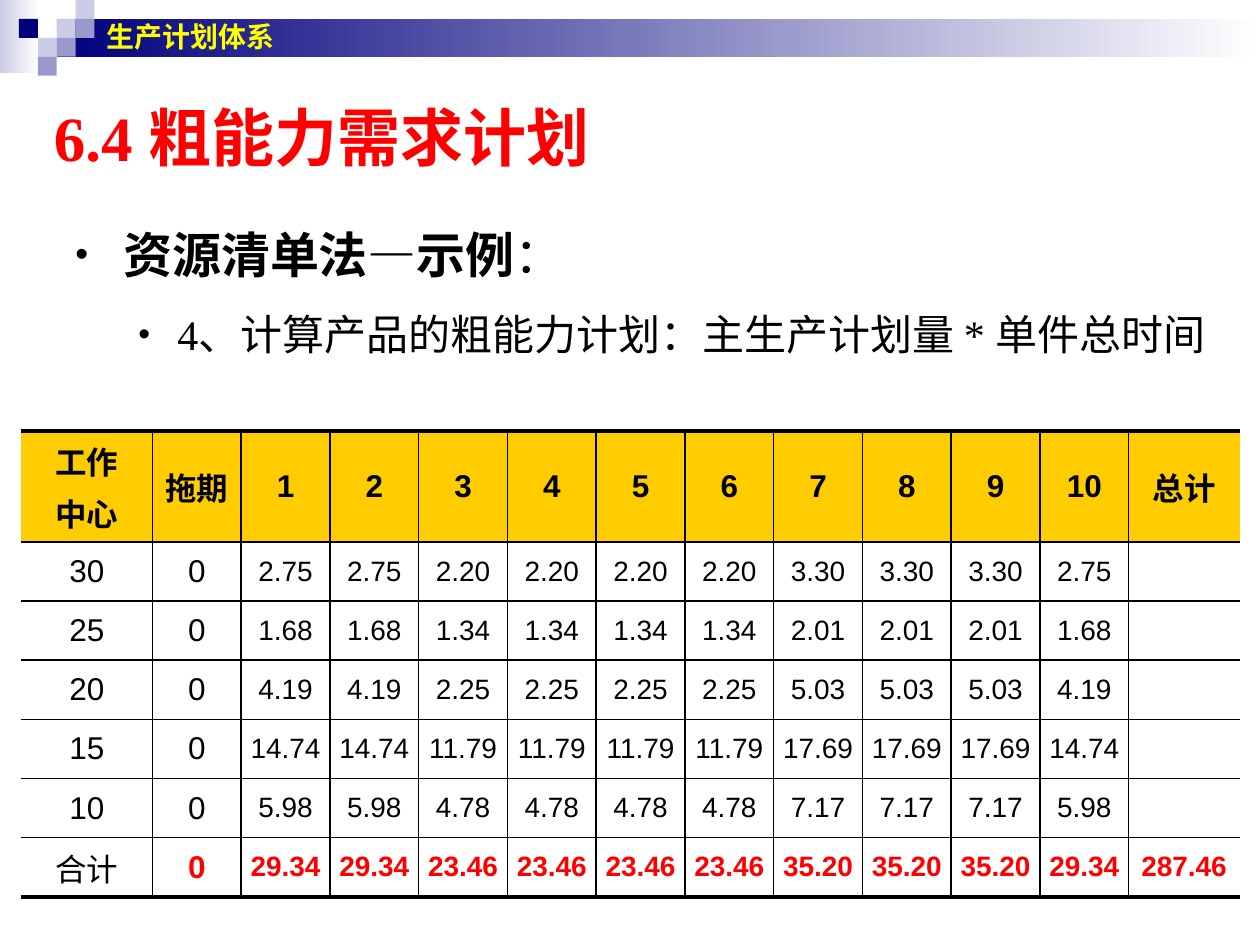
import pptx
import pptx.util
import pptx.dml.color
import pptx.enum.shapes
import pptx.enum.text
import pptx.oxml
import pptx.oxml.ns

Inches, Pt = pptx.util.Inches, pptx.util.Pt
ALIGN, ANCHOR = pptx.enum.text.PP_ALIGN, pptx.enum.text.MSO_ANCHOR
COLORS = {"navy": "00007D", "lilac": "CCCCE6", "violet": "9999CC", "white": "FFFFFF",
          "red": "FF0000", "yellow": "FFFF00", "gold": "FFCC00", "black": "000000"}

# left, top, width, height, start colour of a fade to white
BANDS = [(0, 0, 0.31, 0.58, "lilac"), (0.45, 0.15, 9.55, 0.3, "navy")]
# column and row on the mosaic grid, colour
TILES = [(2, 1, "lilac"), (3, 0, "lilac"), (3, 1, "violet"), (1, 2, "lilac"),
         (0, 1, "navy"), (2, 2, "violet"), (1, 3, "violet")]
TILE, TILE_LEFT = 0.15, 0.15

TITLE = dict(name="Times New Roman", size=36, bold=True, color="red")
HEADING = dict(name="Times New Roman", size=28, bold=True, color="black")
BODY = dict(name="Times New Roman", size=24, bold=False, color="black")
BANNER = dict(name="Arial", size=16, bold=True, color="yellow")
# text, format of each run; then indent, hanging and bullet size
BULLETS = [
    ([("资源清单法—示例", HEADING), ("：", {**HEADING, "bold": False})], 0.38, 0.38, 75),
    ([("4、计算产品的粗能力计划：主生产计划量 * 单件总时间", BODY)], 0.81, 0.31, 80),
]

HEADER = ["工作\n中心", "拖期", *map(str, range(1, 11)), "总计"]
# work centre, hours in weeks 1-2, 3-6, 7-9 and 10, total
LOADS = [
    ("30", "2.75", "2.20", "3.30", "2.75", ""),
    ("25", "1.68", "1.34", "2.01", "1.68", ""),
    ("20", "4.19", "2.25", "5.03", "4.19", ""),
    ("15", "14.74", "11.79", "17.69", "14.74", ""),
    ("10", "5.98", "4.78", "7.17", "5.98", ""),
    ("合计", "29.34", "23.46", "35.20", "29.34", "287.46"),
]
ROWS = [HEADER] + [[centre, "0", *[a] * 2, *[b] * 4, *[c] * 3, d, total]
                   for centre, a, b, c, d, total in LOADS]
TABLE_LEFT, TABLE_TOP, TABLE_WIDTH = 0.17, 3.42, 9.67
FIRST_COL, LAST_COL, HEADER_H, ROW_H = 1.04, 0.88, 0.88, 0.47


def rgb(name):
    return pptx.dml.color.RGBColor.from_string(COLORS[name])


def add_run(p, text, style):
    r = p.add_run()
    r.text = text
    for key, value in style.items():
        if key == "color":
            r.font.color.rgb = rgb(value)
        else:
            setattr(r.font, key, Pt(value) if key == "size" else value)


def add_rect(s, left, top, width, height):
    sp = s.shapes.add_shape(pptx.enum.shapes.MSO_SHAPE.RECTANGLE,
                            *map(Inches, (left, top, width, height)))
    sp.shadow.inherit = False
    sp.line.fill.background()
    return sp


def add_text_frame(s, left, top, width, height, anchor):
    tf = s.shapes.add_textbox(*map(Inches, (left, top, width, height))).text_frame
    tf.word_wrap = True
    tf.vertical_anchor = anchor
    return tf


def add_bullet(p, indent, hanging, percent):
    pPr = p._p.get_or_add_pPr()
    pPr.set("marL", str(Inches(indent)))
    pPr.set("indent", str(-Inches(hanging)))
    ns = pptx.oxml.ns.nsdecls("a")
    for xml in (f'<a:buClr {ns}><a:srgbClr val="{COLORS["black"]}"/></a:buClr>',
                f'<a:buSzPct {ns} val="{percent * 1000}"/>',
                f'<a:buFont {ns} typeface="Arial"/>',
                f'<a:buChar {ns} char="•"/>'):
        pPr.append(pptx.oxml.parse_xml(xml))


def set_borders(cell, widths):
    """Widths in points for left, right, top and bottom; 0 hides the line."""
    tcPr = cell._tc.get_or_add_tcPr()
    ns = pptx.oxml.ns.nsdecls("a")
    for i, (side, width) in enumerate(zip("LRTB", widths)):
        fill = (f'<a:solidFill><a:srgbClr val="{COLORS["black"]}"/></a:solidFill>'
                if width else "<a:noFill/>")
        tcPr.insert(i, pptx.oxml.parse_xml(
            f'<a:ln{side} {ns} w="{Pt(width)}">{fill}</a:ln{side}>'))


def draw_banner(s):
    for *box, color in BANDS:
        fill = add_rect(s, *box).fill
        fill.gradient()
        fill.gradient_angle = 0
        for stop, name, position in zip(fill.gradient_stops, (color, "white"), (0, 1)):
            stop.color.rgb = rgb(name)
            stop.position = position
    for col, row, color in TILES:
        fill = add_rect(s, TILE_LEFT + col * TILE, row * TILE, TILE, TILE).fill
        fill.solid()
        fill.fore_color.rgb = rgb(color)


def draw_text(s):
    tf = add_text_frame(s, 0.33, 0.75, 9, 0.67, ANCHOR.MIDDLE)
    add_run(tf.paragraphs[0], "6.4 粗能力需求计划", TITLE)
    tf = add_text_frame(s, 0.5, 1.5, 9.5, 1.75, ANCHOR.TOP)
    for i, (runs, *bullet) in enumerate(BULLETS):
        p = tf.add_paragraph() if i else tf.paragraphs[0]
        p.line_spacing = 1.5
        add_bullet(p, *bullet)
        for text, style in runs:
            add_run(p, text, style)
    tf = add_text_frame(s, 0.75, 0, 8.83, 0.58, ANCHOR.MIDDLE)
    add_run(tf.paragraphs[0], "生产计划体系", BANNER)


def draw_table(s):
    last_row, last_col = len(ROWS) - 1, len(HEADER) - 1
    table = s.shapes.add_table(
        len(ROWS), len(HEADER), Inches(TABLE_LEFT), Inches(TABLE_TOP),
        Inches(TABLE_WIDTH), Inches(HEADER_H + last_row * ROW_H)).table
    table.first_row = table.horz_banding = False
    middle = (TABLE_WIDTH - FIRST_COL - LAST_COL) / (last_col - 1)
    for col, width in zip(table.columns, [FIRST_COL] + [middle] * (last_col - 1) + [LAST_COL]):
        col.width = Inches(width)
    for i, values in enumerate(ROWS):
        table.rows[i].height = Inches(ROW_H if i else HEADER_H)
        for j, text in enumerate(values):
            cell = table.cell(i, j)
            cell.vertical_anchor = ANCHOR.MIDDLE
            cell.margin_left = cell.margin_right = Inches(0.04)
            if i == 0:
                cell.fill.solid()
                cell.fill.fore_color.rgb = rgb("gold")
            else:
                cell.fill.background()
            set_borders(cell, (1 if j else 0, 1 if j < last_col else 0,
                               1 if i else 2.25, 1 if i < last_row else 2.25))
            is_sum = i == last_row and j > 0
            style = dict(name="Arial", size=18 if i == 0 or j < 2 else 16,
                         bold=i == 0 or is_sum, color="red" if is_sum else "black")
            for k, line in enumerate(text.split("\n") if text else []):
                p = cell.text_frame.add_paragraph() if k else cell.text_frame.paragraphs[0]
                p.alignment = ALIGN.CENTER
                if k:
                    p.space_before = Pt(3.6)
                add_run(p, line, style)


def main():
    prs = pptx.Presentation()
    prs.slide_width, prs.slide_height = Inches(10), Inches(7.5)
    s = prs.slides.add_slide(prs.slide_layouts[6])
    draw_banner(s)
    draw_text(s)
    draw_table(s)
    prs.save("out.pptx")


if __name__ == "__main__":
    main()
